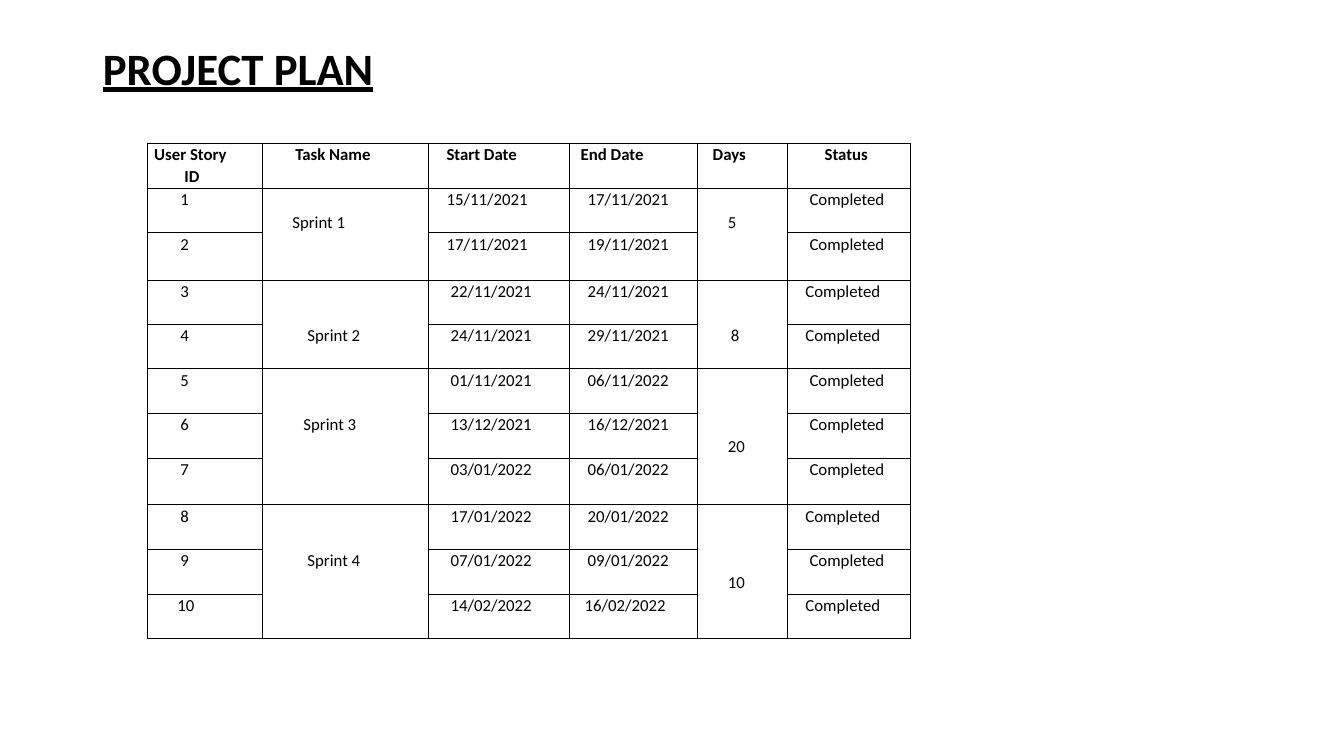
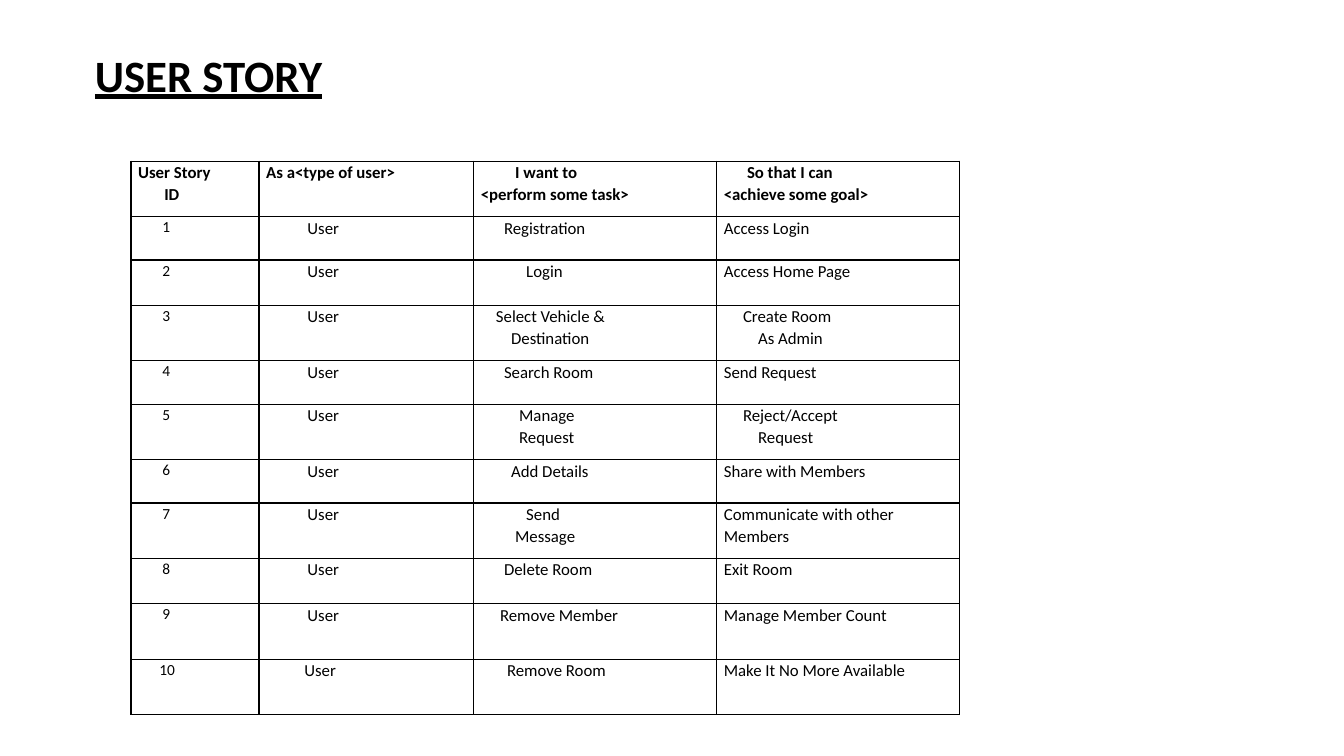
from lxml import etree
from pptx import Presentation
from pptx.dml.color import RGBColor
from pptx.enum import text as text_enum
from pptx.oxml.ns import qn
from pptx.util import Inches, Pt

COLORS = {"ink": "000000"}
FONT = "Calibri"
TITLE_ONLY = 5

# Content: a cell is plain text, or a list of (line, indent in inches)
# ---- Project plan
PLAN_HEADER = [
    [("User Story", 0), ("ID", 0.3)],
    [("Task Name", 0.26)],
    [("Start Date", 0.11)],
    [("End Date", 0.04)],
    [("Days", 0.08)],
    [("Status", 0.3)],
]
# sprint name, indent, lines down; days, indent, lines down; tasks (start, end, status indent)
SPRINTS = [
    ("Sprint 1", 0.23, 1, "5", 0.23, 1, [
        ([("15/11/2021", 0.11)], "17/11/2021", 0.15),
        ([("17/11/2021", 0.11)], "19/11/2021", 0.15)]),
    ("Sprint 2", 0.38, 2, "8", 0.26, 2, [
        ("22/11/2021", "24/11/2021", 0.11),
        ("24/11/2021", "29/11/2021", 0.11)]),
    ("Sprint 3", 0.34, 2, "20", 0.23, 3, [
        ("01/11/2021", "06/11/2022", 0.15),
        ("13/12/2021", "16/12/2021", 0.15),
        ("03/01/2022", "06/01/2022", 0.15)]),
    ("Sprint 4", 0.38, 2, "10", 0.23, 3, [
        ("17/01/2022", "20/01/2022", 0.11),
        ("07/01/2022", "09/01/2022", 0.15),
        ("14/02/2022", [("16/02/2022", 0.08)], 0.11)]),
]
PLAN = {
    "title": "PROJECT PLAN", "title_at": (0.92, 0.36, 3.48, 0.68),
    "corner": (1.46, 1.42),
    "columns": [1.14, 1.65, 1.4, 1.27, 0.89, 1.22],
    "rows": [0.45, 0.44, 0.47, 0.44, 0.44, 0.44, 0.45, 0.46, 0.44, 0.45, 0.44],
    "indents": [0.26, 0, 0.15, 0.11, 0, 0],
    "id_size": 12,
}
# ---- User stories
STORY_HEADER = [
    [("User Story", 0), ("ID", 0.26)],
    "As a<type of user>",
    [("I want to", 0.34), ("<perform some task>", 0)],
    [("So that I can", 0.23), ("<achieve some goal>", 0)],
]
STORIES = [
    ("Registration", "Access Login"),
    ([("Login", 0.45)], "Access Home Page"),
    ([("Select Vehicle &", 0.15), ("Destination", 0.3)],
     [("Create Room", 0.19), ("As Admin", 0.34)]),
    ("Search Room", "Send Request"),
    ([("Manage", 0.38), ("Request", 0.38)],
     [("Reject/Accept", 0.19), ("Request", 0.34)]),
    ([("Add Details", 0.3)], "Share with Members"),
    ([("Send", 0.45), ("Message", 0.34)], "Communicate with other Members"),
    ("Delete Room", "Exit Room"),
    ([("Remove Member", 0.19)], "Manage Member Count"),
    ([("Remove Room", 0.26)], "Make It No More Available"),
]
STORY = {
    "title": "USER STORY", "title_at": (0.84, 0.42, 2.96, 0.7),
    "corner": (1.3, 1.6),
    "columns": [1.27, 2.13, 2.41, 2.41],
    "rows": [0.55, 0.43, 0.45, 0.55, 0.43, 0.55, 0.43, 0.55, 0.45, 0.55, 0.55],
    "indents": [0.24, 0.41, 0.23, 0],
    "id_size": 11,
}
LINE_HEIGHT = 0.22


def style_font(para, size, bold):
    font = para.font
    font.name, font.size, font.bold = FONT, Pt(size), bold
    font.color.rgb = RGBColor.from_string(COLORS["ink"])


def add_title(page, wording, place):
    title = page.shapes.title
    title.left, title.top, title.width, title.height = map(Inches, place)
    frame = title.text_frame
    frame.text = wording
    frame.word_wrap = True
    frame.auto_size = text_enum.MSO_AUTO_SIZE.NONE
    frame.vertical_anchor = text_enum.MSO_ANCHOR.MIDDLE
    para = frame.paragraphs[0]
    para.alignment = text_enum.PP_ALIGN.LEFT
    para.line_spacing = 0.9
    style_font(para, 32, True)
    para.font.underline = True


def frame_cell(cell):
    """Black 1 pt borders, no fill, tight margins."""
    properties = cell._tc.get_or_add_tcPr()
    for side in ("a:lnL", "a:lnR", "a:lnT", "a:lnB"):
        line = etree.SubElement(properties, qn(side), w=str(Pt(1)))
        fill = etree.SubElement(line, qn("a:solidFill"))
        etree.SubElement(fill, qn("a:srgbClr"), val=COLORS["ink"])
    cell.fill.background()
    cell.margin_left = cell.margin_right = Inches(0.07)
    cell.margin_top = cell.margin_bottom = 0


def write_cell(cell, content, indent, size, bold):
    lines = [(content, indent)] if isinstance(content, str) else content
    frame = cell.text_frame
    for index, (wording, offset) in enumerate(lines):
        para = frame.paragraphs[0] if index == 0 else frame.add_paragraph()
        para.text = wording
        para.line_spacing = 1.07
        para._p.get_or_add_pPr().set("marL", str(Inches(offset)))
        style_font(para, size, bold)


def add_table_page(deck, layout, rows):
    page = deck.slides.add_slide(deck.slide_layouts[TITLE_ONLY])
    add_title(page, layout["title"], layout["title_at"])
    widths, heights = layout["columns"], layout["rows"]
    place = (*layout["corner"], sum(widths), sum(heights))
    table = page.shapes.add_table(len(heights), len(widths), *map(Inches, place)).table
    table.first_row = table.horz_banding = False
    for column, width in zip(table.columns, widths):
        column.width = Inches(width)
    for row, height in zip(table.rows, heights):
        row.height = Inches(height)
    for r, row in enumerate(rows):
        for c, content in enumerate(row):
            cell = table.cell(r, c)
            frame_cell(cell)
            header = r == 0
            size = layout["id_size"] if c == 0 and not header else 12
            write_cell(cell, content, 0 if header else layout["indents"][c], size, header)
    return table


def id_cell(number, indent):
    """Two-digit numbers start a little further left."""
    return [(str(number), indent - 0.03 if number > 9 else indent)]


def add_plan(deck):
    rows, merges = [PLAN_HEADER], []
    for name, name_indent, name_down, days, days_indent, days_down, tasks in SPRINTS:
        first, last = len(rows), len(rows) + len(tasks) - 1
        merges += [(first, last, 1, name_down), (first, last, 4, days_down)]
        for index, (start, end, status_indent) in enumerate(tasks):
            top = index == 0
            rows.append([
                id_cell(len(rows), PLAN["indents"][0]),
                [(name, name_indent)] if top else "",
                start, end,
                [(days, days_indent)] if top else "",
                [("Completed", status_indent)],
            ])
    table = add_table_page(deck, PLAN, rows)
    for first, last, column, down in merges:
        cell = table.cell(first, column)
        cell.merge(table.cell(last, column))
        cell.margin_top = Inches(down * LINE_HEIGHT)


def add_stories(deck):
    rows = [STORY_HEADER]
    for number, (task, goal) in enumerate(STORIES, 1):
        user = id_cell(number, STORY["indents"][1])
        rows.append([id_cell(number, STORY["indents"][0]),
                     [("User", user[0][1])], task, goal])
    add_table_page(deck, STORY, rows)


def main():
    deck = Presentation()
    deck.slide_width, deck.slide_height = Inches(13.33), Inches(7.5)
    add_plan(deck)
    add_stories(deck)
    deck.save("out.pptx")


if __name__ == "__main__":
    main()
